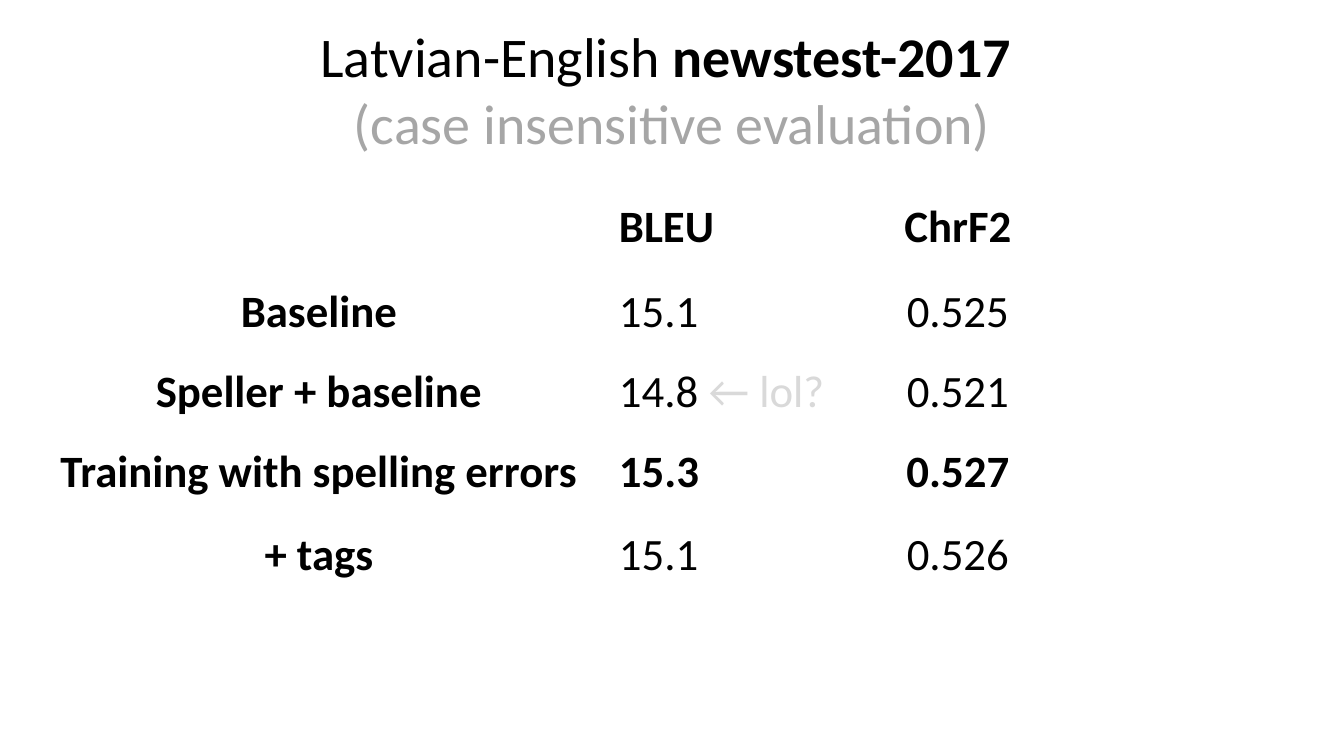
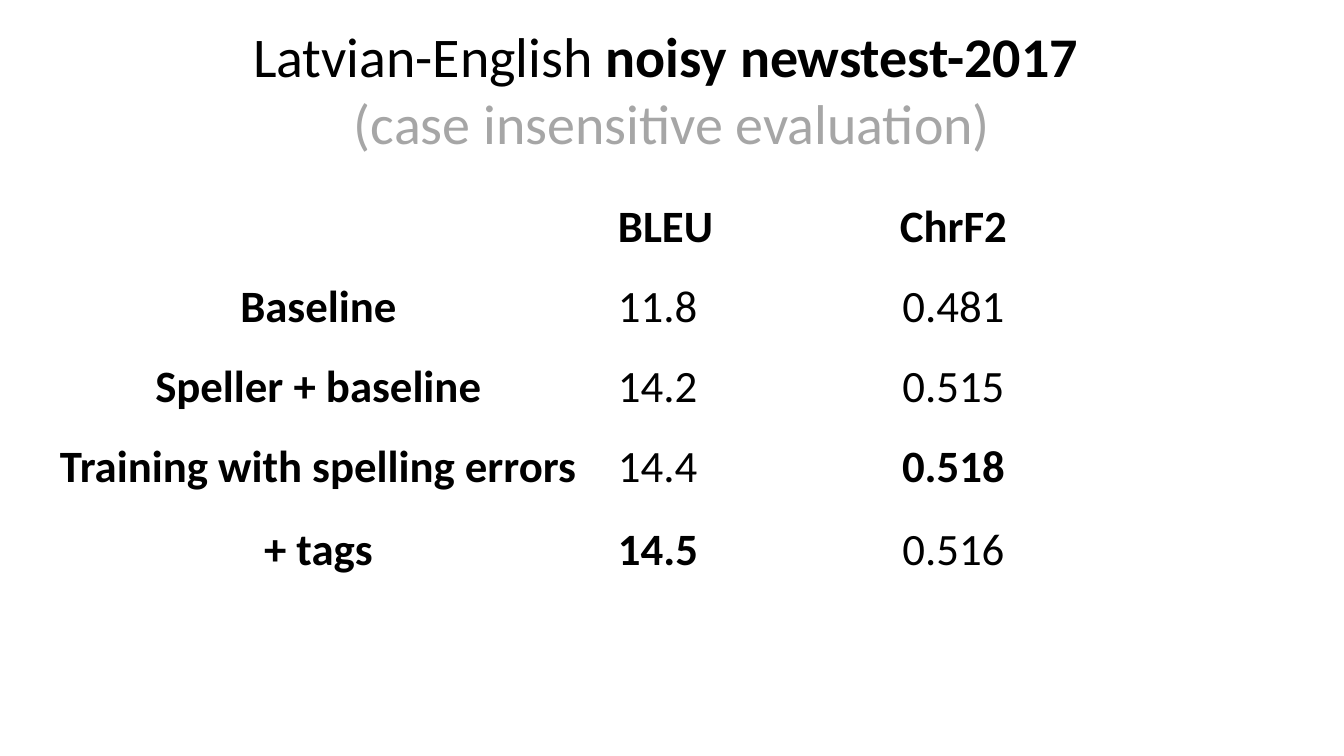
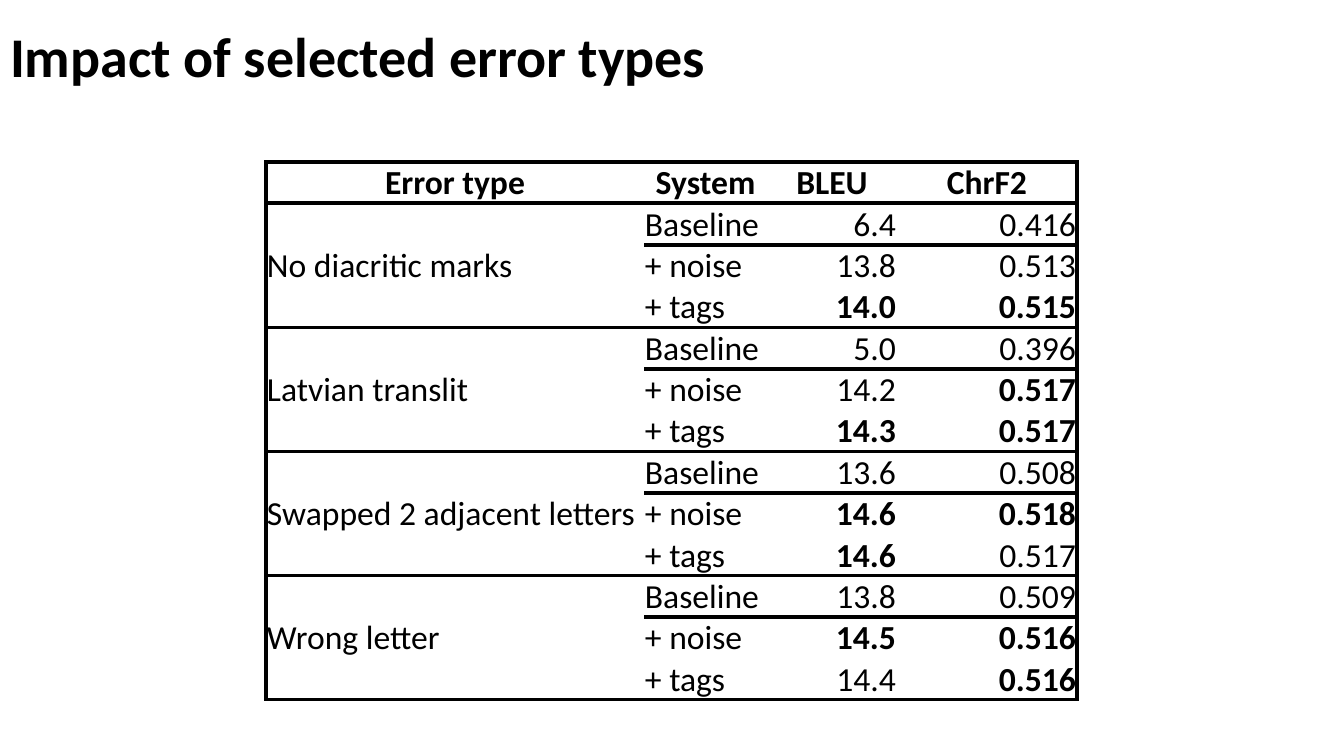
import dataclasses
import typing

import lxml.etree
import pptx
import pptx.dml.color
import pptx.enum.text
import pptx.oxml.ns
import pptx.util

ALIGN = pptx.enum.text.PP_ALIGN
ANCHOR = pptx.enum.text.MSO_ANCHOR
FONT = "Calibri"
BLACK, GREY, PALE = "000000", "A6A6A6", "D9D9D9"
WIDE, HIGH = 1344, 756
PLAIN = "{2D5ABB26-0587-4C30-8999-92F81FD0307C}"
LABELS = ["Baseline", "Speller + baseline", "Training with spelling errors", "+ tags"]
MODES = ["Baseline", "+ noise", "+ tags"]


@dataclasses.dataclass
class Run:
    """A stretch of text in one style."""

    text: str
    bold: bool = False
    ink: str = BLACK


@dataclasses.dataclass
class Score:
    """A slide that scores four systems on one test set."""

    test: str
    cols: list[int]
    rows: list[int]
    bleu: list[str]
    chrf: list[str]
    notes: dict[int, str]


@dataclasses.dataclass
class Group:
    """The scores of the three systems on one error type."""

    name: str
    bleu: list[str]
    chrf: list[str]


SCORES = [
    Score("newstest-2017", [598, 230, 220], [83, 85, 80, 80, 83],
          ["15.1", "14.8", "15.3", "15.1"],
          ["0.525", "0.521", "0.527", "0.526"], {1: " ← lol?"}),
    Score("noisy newstest-2017", [597, 222, 229], [83, 80, 80, 80, 83],
          ["11.8", "14.2", "14.4", "14.5"],
          ["0.481", "0.515", "0.518", "0.516"], {}),
]
GROUPS = [
    Group("No diacritic marks", ["6.4", "13.8", "14.0"], ["0.416", "0.513", "0.515"]),
    Group("Latvian translit", ["5.0", "14.2", "14.3"], ["0.396", "0.517", "0.517"]),
    Group("Swapped 2 adjacent letters", ["13.6", "14.6", "14.6"],
          ["0.508", "0.518", "0.517"]),
    Group("Wrong letter", ["13.8", "14.5", "14.4"], ["0.509", "0.516", "0.516"]),
]


def emu(px: int) -> pptx.util.Emu:
    """Turn pixels into EMU."""
    return pptx.util.Emu(round(px * 914400 / 100.8))


def color(code: str) -> pptx.dml.color.RGBColor:
    """Turn a hex string into a colour."""
    return pptx.dml.color.RGBColor.from_string(code)


def write(frame: typing.Any, runs: list[Run], size: int, align: typing.Any) -> None:
    """Fill the first paragraph of a frame with runs."""
    para = frame.paragraphs[0]
    para.alignment = align
    para.font.name = FONT
    para.font.size = pptx.util.Pt(size)
    for part in runs:
        lines = part.text.split("\n")
        for index, line in enumerate(lines):
            if index:
                para.add_line_break()
            if line:
                run = para.add_run()
                run.text = line
                run.font.bold = part.bold
                run.font.color.rgb = color(part.ink)


def start(deck: typing.Any, runs: list[Run], high: int, align: typing.Any) -> typing.Any:
    """Add a slide with a title."""
    slide = deck.slides.add_slide(deck.slide_layouts[5])
    title = slide.shapes.title
    title.left, title.top = emu(0), emu(16)
    title.width, title.height = emu(WIDE), emu(high)
    frame = title.text_frame
    frame.word_wrap = True
    frame.auto_size = pptx.enum.text.MSO_AUTO_SIZE.SHAPE_TO_FIT_TEXT
    frame.vertical_anchor = ANCHOR.TOP
    write(frame, runs, 40, align)
    return slide


def grid(slide: typing.Any, left: int, top: int, cols: list[int], rows: list[int]) -> typing.Any:
    """Add a bare table with tight cells."""
    shape = slide.shapes.add_table(len(rows), len(cols), emu(left), emu(top),
                                   emu(sum(cols)), emu(sum(rows)))
    table = shape.table
    table.first_row = table.horz_banding = False
    table._tbl.tblPr.find(pptx.oxml.ns.qn("a:tableStyleId")).text = PLAIN
    for col, wide in zip(table.columns, cols):
        col.width = emu(wide)
    for row, high in zip(table.rows, rows):
        row.height = emu(high)
    for cell in table.iter_cells():
        cell.fill.background()
        cell.margin_left = cell.margin_right = cell.margin_top = emu(1)
        cell.margin_bottom = 0
        cell.vertical_anchor = ANCHOR.BOTTOM
    return table


def edge(cell: typing.Any, sides: str) -> None:
    """Draw black lines on the sides named out of L, R, T and B."""
    props = cell._tc.get_or_add_tcPr()
    qn = pptx.oxml.ns.qn
    for index, side in enumerate(sides):
        line = lxml.etree.Element(qn(f"a:ln{side}"), w=str(pptx.util.Pt(3)))
        fill = lxml.etree.SubElement(line, qn("a:solidFill"))
        lxml.etree.SubElement(fill, qn("a:srgbClr"), val=BLACK)
        props.insert(index, line)


def marks(values: list[str]) -> list[Run]:
    """Set the best values in bold."""
    best = max(values, key=float)
    return [Run(value, value == best) for value in values]


def rate(deck: typing.Any, score: Score) -> None:
    """Build a slide for one test set."""
    title = [Run("Latvian-English "), Run(f"{score.test} \n", True),
             Run("(case insensitive evaluation)", ink=GREY)]
    slide = start(deck, title, 146, ALIGN.CENTER)
    table = grid(slide, 20, 172, score.cols, score.rows)
    write(table.cell(0, 1).text_frame, [Run("BLEU", True)], 32, ALIGN.LEFT)
    write(table.cell(0, 2).text_frame, [Run("ChrF2", True)], 32, ALIGN.CENTER)
    lines = zip(LABELS, marks(score.bleu), marks(score.chrf))
    for index, (label, bleu, chrf) in enumerate(lines):
        note = [Run(score.notes[index], ink=PALE)] if index in score.notes else []
        cells = table.rows[index + 1].cells
        write(cells[0].text_frame, [Run(label, True)], 32, ALIGN.CENTER)
        write(cells[1].text_frame, [bleu, *note], 32, ALIGN.LEFT)
        write(cells[2].text_frame, [chrf], 32, ALIGN.CENTER)


def frame(table: typing.Any) -> None:
    """Rule off the header and each group of three rows."""
    for row, line in enumerate(table.rows):
        for col, cell in enumerate(line.cells):
            sides = "L" if col == 0 else "R" if col == 3 else ""
            if row == 0 or row % 3 == 1:
                sides += "T"
            if row % 3 == 0 or cell.is_merge_origin:
                sides += "B"
            edge(cell, sides)


def impact(deck: typing.Any) -> None:
    """Build the slide on error types."""
    slide = start(deck, [Run("Impact of selected error types", True)], 78, ALIGN.LEFT)
    count = 1 + len(GROUPS) * len(MODES)
    table = grid(slide, 266, 162, [378, 123, 130, 180], [41] * count)
    for cell, text in zip(table.rows[0].cells, ["Error type", "System", "BLEU", "ChrF2"]):
        write(cell.text_frame, [Run(text, True)], 24, ALIGN.CENTER)
    for index, group in enumerate(GROUPS):
        top = 1 + index * len(MODES)
        name = table.cell(top, 0)
        name.merge(table.cell(top + len(MODES) - 1, 0))
        name.vertical_anchor = ANCHOR.MIDDLE
        write(name.text_frame, [Run(group.name)], 24, ALIGN.LEFT)
        lines = zip(MODES, marks(group.bleu), marks(group.chrf))
        for row, (mode, bleu, chrf) in enumerate(lines, top):
            write(table.cell(row, 1).text_frame, [Run(mode)], 24, ALIGN.LEFT)
            write(table.cell(row, 2).text_frame, [bleu], 24, ALIGN.RIGHT)
            write(table.cell(row, 3).text_frame, [chrf], 24, ALIGN.RIGHT)
    frame(table)


def main() -> None:
    """Build and save the deck."""
    deck = pptx.Presentation()
    deck.slide_width, deck.slide_height = emu(WIDE), emu(HIGH)
    for score in SCORES:
        rate(deck, score)
    impact(deck)
    deck.save("out.pptx")


main()
